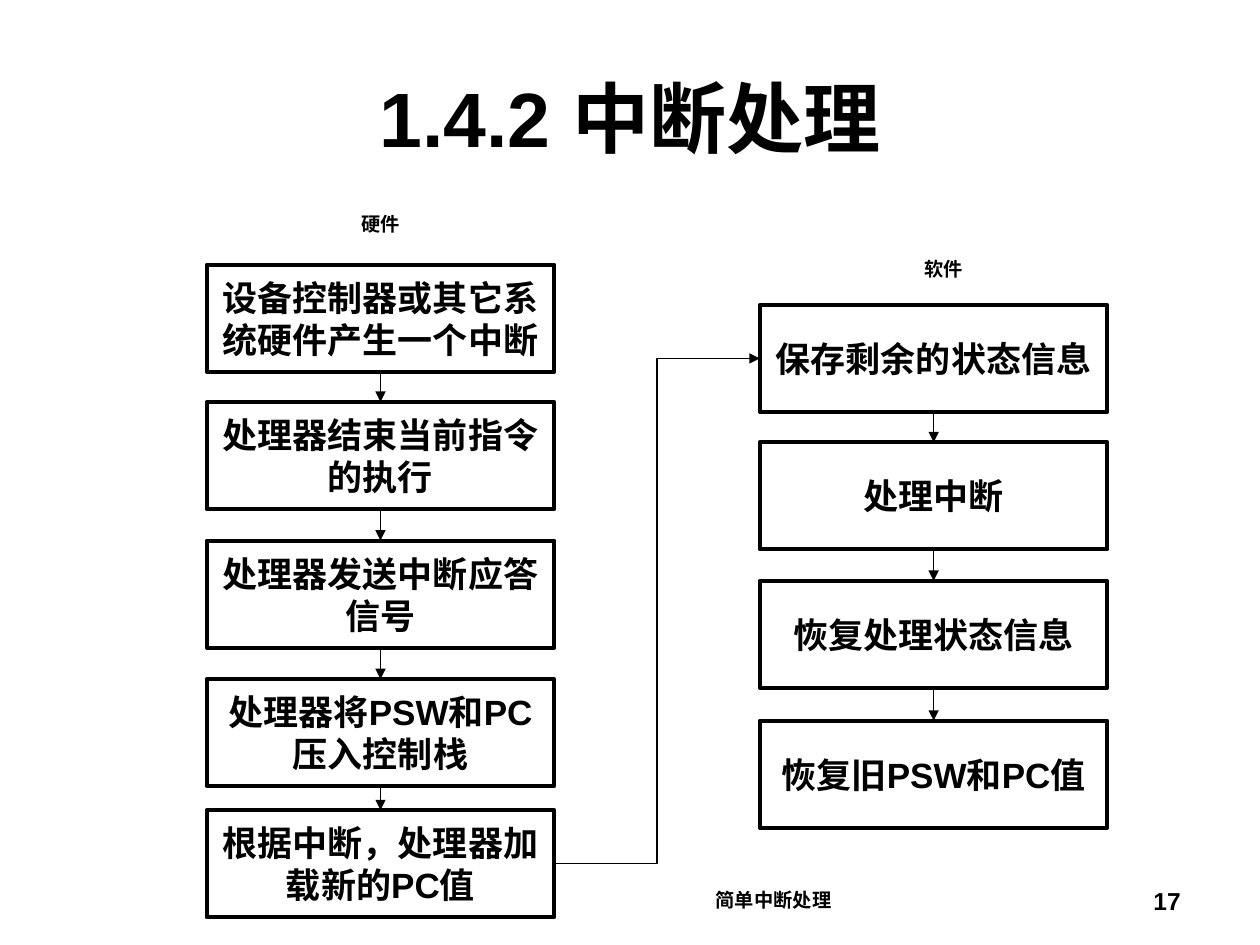
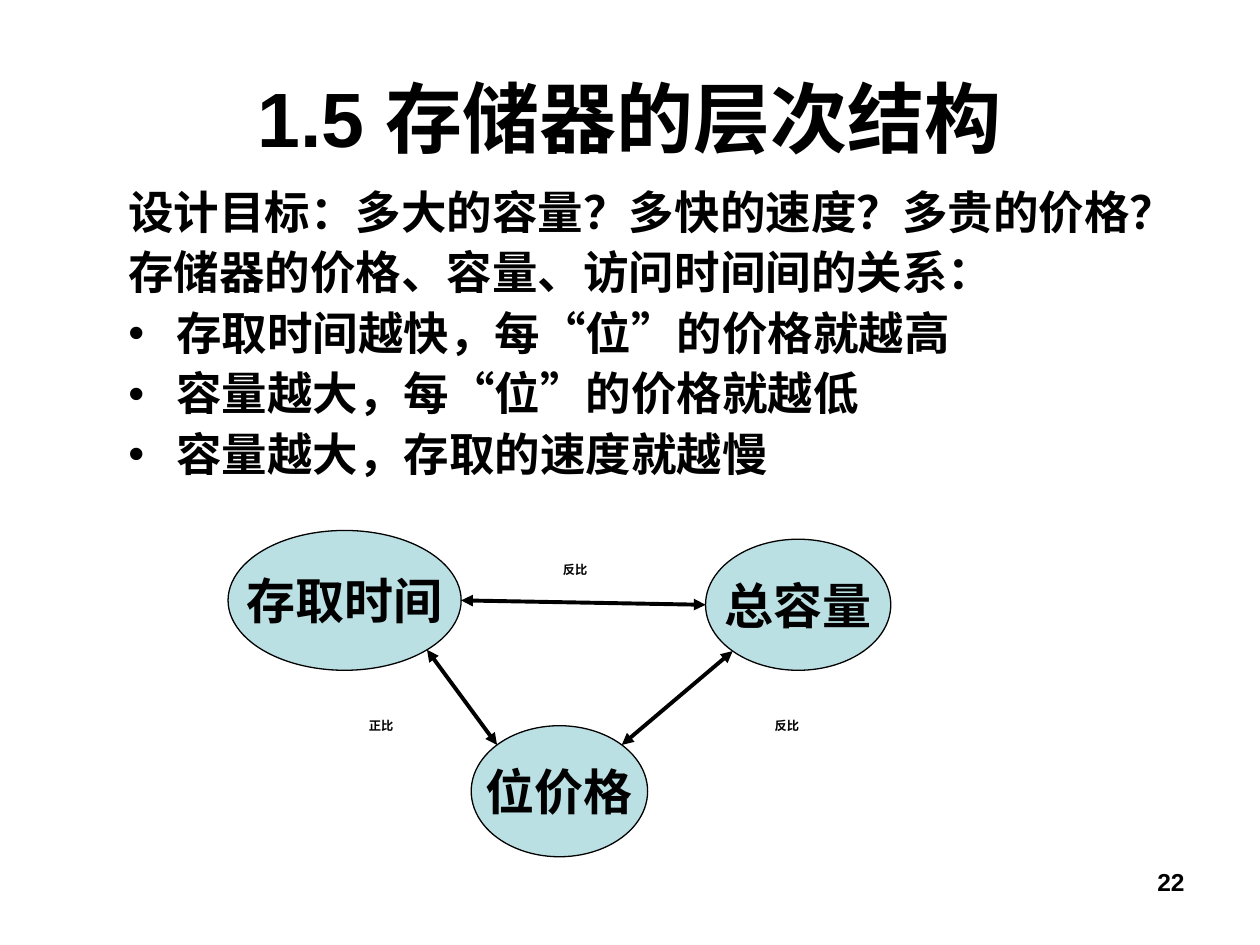
"""Build two lecture slides: interrupt handling and the memory hierarchy."""
from dataclasses import dataclass
from itertools import pairwise
from math import sqrt

from lxml import etree
from pptx import Presentation
from pptx.dml.color import RGBColor
from pptx.enum.shapes import MSO_CONNECTOR, MSO_SHAPE
from pptx.enum.text import MSO_ANCHOR, PP_ALIGN
from pptx.oxml.ns import qn
from pptx.util import Inches, Pt

LEFT, CENTER, RIGHT = PP_ALIGN.LEFT, PP_ALIGN.CENTER, PP_ALIGN.RIGHT
TOP, MIDDLE = MSO_ANCHOR.TOP, MSO_ANCHOR.MIDDLE
STRAIGHT, ELBOW = MSO_CONNECTOR.STRAIGHT, MSO_CONNECTOR.ELBOW
RECT, OVAL = MSO_SHAPE.RECTANGLE, MSO_SHAPE.OVAL


@dataclass(frozen=True)
class Theme:
    font: str = "Arial"
    ink: RGBColor = RGBColor(0, 0, 0)
    tint: RGBColor = RGBColor(0xBB, 0xE0, 0xE3)
    title: int = 44
    node: int = 28
    body: int = 26
    step: int = 20
    page: int = 14
    note: int = 11
    tiny: int = 7
    thin: float = 0.74
    thick: float = 2.24


THEME = Theme()


def inches(*sizes):
    return [Inches(size) for size in sizes]


def write(frame, text, size, align=CENTER, anchor=MIDDLE, wrap=True):
    frame.word_wrap = wrap
    frame.vertical_anchor = anchor
    frame.text = text
    for para in frame.paragraphs:
        para.alignment = align
        for run in para.runs:
            font = run.font
            font.name, font.size, font.bold = THEME.font, Pt(size), True
            font.color.rgb = THEME.ink


def bullet(para):
    props = para._p.get_or_add_pPr()
    color = etree.SubElement(props, qn("a:buClr"))
    etree.SubElement(color, qn("a:srgbClr"), val=str(THEME.ink))
    etree.SubElement(props, qn("a:buFont"), typeface=THEME.font)
    etree.SubElement(props, qn("a:buChar"), char="•")


def rim(oval, across, down):
    """Return the point of an oval that lies in the given direction."""
    norm = sqrt(across ** 2 + down ** 2)
    x = oval.left + oval.width / 2 * (1 + across / norm)
    y = oval.top + oval.height / 2 * (1 + down / norm)
    return round(x), round(y)


class Deck:
    """Hold the presentation, its theme and the current slide."""

    def __init__(self, theme):
        self.theme = theme
        self.show = Presentation()
        self.show.slide_width, self.show.slide_height = inches(10, 7.5)

    def start(self, title, page, left, top):
        layout = self.show.slide_layouts.get_by_name("Title Only")
        self.slide = self.show.slides.add_slide(layout)
        head = self.slide.shapes.title
        head.left, head.top, head.width, head.height = inches(0.5, 0.3, 9, 1.25)
        write(head.text_frame, title, self.theme.title)
        self.label(page, left, top, 2.33, 0.52, size=self.theme.page,
                   align=RIGHT, anchor=TOP)

    def label(self, text, left, top, width, height, **style):
        box = self.slide.shapes.add_textbox(*inches(left, top, width, height))
        write(box.text_frame, text, **style)
        return box

    def shape(self, kind, text, left, top, width, height, line, fill=None, **style):
        item = self.slide.shapes.add_shape(kind, *inches(left, top, width, height))
        item.shadow.inherit = False
        if fill is None:
            item.fill.background()
        else:
            item.fill.solid()
            item.fill.fore_color.rgb = fill
        item.line.color.rgb = self.theme.ink
        item.line.width = Pt(line)
        write(item.text_frame, text, **style)
        return item

    def arrow(self, start, end, width, kind=STRAIGHT, ends=("tailEnd",)):
        link = self.slide.shapes.add_connector(kind, *start, *end)
        link.line.color.rgb = self.theme.ink
        link.line.width = Pt(width)
        for end_name in ends:
            etree.SubElement(link.line._ln, qn(f"a:{end_name}"), type="triangle")
        etree.SubElement(link._element.spPr, qn("a:effectLst"))
        return link

    def join(self, first, second, sites, kind=STRAIGHT):
        link = self.arrow((0, 0), (0, 0), self.theme.thin, kind)
        link.begin_connect(first, sites[0])
        link.end_connect(second, sites[1])

    def chain(self, left, steps):
        boxes = [self.shape(RECT, text, left, top, 2.76, 0.85, self.theme.thick,
                            size=self.theme.step) for top, text in steps]
        for upper, lower in pairwise(boxes):
            self.join(upper, lower, (2, 0))
        return boxes

    def points(self, plain, marked, *place):
        box = self.label("\n".join(plain + marked), *place, size=self.theme.body,
                         align=LEFT, anchor=TOP)
        for row, para in enumerate(box.text_frame.paragraphs):
            para.line_spacing = 0.9
            para.space_before = Pt(6.5)
            props = para._p.get_or_add_pPr()
            props.set("marL", str(Inches(0.38)))
            props.set("indent", str(-Inches(0.38)))
            if row >= len(plain):
                bullet(para)


def interrupts(deck):
    deck.start("1.4.2 中断处理", "17", 7.14, 6.98)
    hard = deck.chain(1.64, [
        (2.1, "设备控制器或其它系统硬件产生一个中断"),
        (3.19, "处理器结束当前指令的执行"),
        (4.29, "处理器发送中断应答信号"),
        (5.39, "处理器将PSW和PC压入控制栈"),
        (6.43, "根据中断，处理器加载新的PC值"),
    ])
    soft = deck.chain(6.03, [
        (2.42, "保存剩余的状态信息"),
        (3.51, "处理中断"),
        (4.61, "恢复处理状态信息"),
        (5.72, "恢复旧PSW和PC值"),
    ])
    deck.join(hard[-1], soft[0], (3, 1), ELBOW)
    for text, left, top in [("简单中断处理", 4.76, 7), ("软件", 6.11, 1.99),
                            ("硬件", 1.64, 1.63)]:
        deck.label(text, left, top, 2.76, 0.29, size=THEME.note)


def memory(deck):
    deck.start("1.5 存储器的层次结构", "22", 7.17, 6.83)
    deck.points(
        ["设计目标：多大的容量？多快的速度？多贵的价格？",
         "存储器的价格、容量、访问时间间的关系："],
        ["存取时间越快，每“位”的价格就越高",
         "容量越大，每“位”的价格就越低",
         "容量越大，存取的速度就越慢"],
        0.92, 1.46, 8.75, 2.67)
    price, volume, time = [
        deck.shape(OVAL, text, *place, THEME.thin, THEME.tint,
                   size=THEME.node, wrap=False)
        for text, *place in [("位价格", 3.74, 5.76, 1.4, 1.04),
                             ("总容量", 5.6, 4.28, 1.47, 1.04),
                             ("存取时间", 1.81, 4.21, 1.85, 1.11)]]
    for start, end in [(rim(price, 1, -1), rim(volume, -1, 1)),
                       (rim(price, -1, -1), rim(time, 1, 1)),
                       (rim(volume, -1, 0), rim(time, 1, 0))]:
        deck.arrow(start, end, THEME.thick, ends=("headEnd", "tailEnd"))
    for text, left, top in [("反比", 4.03, 4.4), ("正比", 2.49, 5.64),
                            ("反比", 5.71, 5.64)]:
        deck.label(text, left, top, 1.07, 0.24, size=THEME.tiny)


deck = Deck(THEME)
interrupts(deck)
memory(deck)
deck.show.save("out.pptx")
